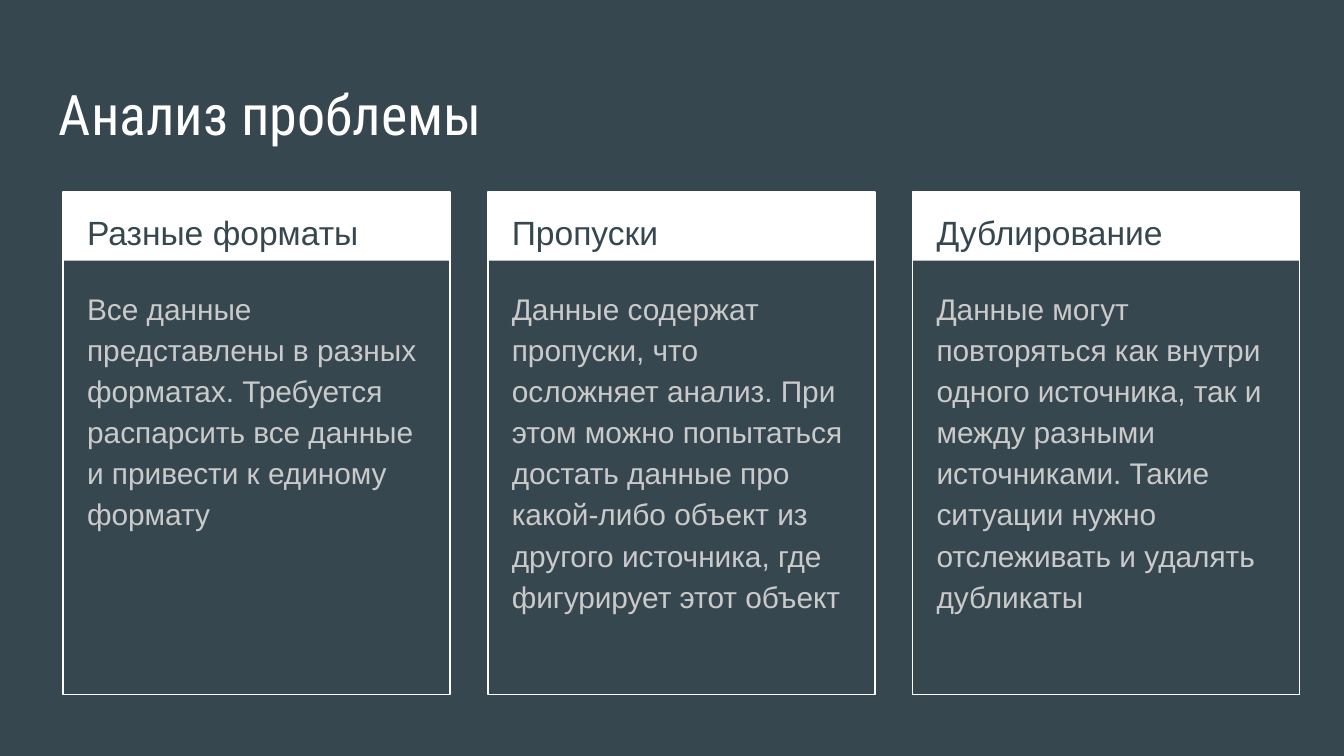
"""Build the problem analysis slide with three outlined cards."""
import dataclasses
import typing

import pptx
import pptx.dml.color
import pptx.enum.shapes
import pptx.enum.text
import pptx.util

Inches = pptx.util.Inches
Pt = pptx.util.Pt
RGB = pptx.dml.color.RGBColor


@dataclasses.dataclass(frozen=True)
class Theme:
    background: RGB = RGB.from_string("37474F")
    light: RGB = RGB.from_string("FFFFFF")
    muted: RGB = RGB.from_string("CACACA")
    title_font: str = "Roboto Condensed"
    text_font: str = "Arial"
    title_size: int = 30
    heading_size: int = 18
    body_size: int = 16
    outline: float = 0.75


class Area(typing.NamedTuple):
    left: float
    top: float
    width: float
    height: float

    def lengths(self) -> list[pptx.util.Length]:
        return [Inches(value) for value in self]


class Card(typing.NamedTuple):
    heading: str
    body: str


THEME = Theme()
PAGE_WIDTH = 10
PAGE_HEIGHT = PAGE_WIDTH * 9 / 16
CARD_LEFT, CARD_TOP, CARD_STEP = 0.47, 1.43, 3.16
CARD_WIDTH, CARD_HEIGHT, BAND_HEIGHT = 2.88, 3.74, 0.51

CARDS = [
    Card(
        "Разные форматы",
        "Все данные представлены в разных форматах. Требуется распарсить "
        "все данные и привести к единому формату",
    ),
    Card(
        "Пропуски",
        "Данные содержат пропуски, что осложняет анализ. При этом можно "
        "попытаться достать данные про какой-либо объект из другого "
        "источника, где фигурирует этот объект",
    ),
    Card(
        "Дублирование",
        "Данные могут повторяться как внутри одного источника, так и между "
        "разными источниками. Такие ситуации нужно отслеживать и удалять "
        "дубликаты",
    ),
]


def apply_format(target: typing.Any, values: dict[str, typing.Any]) -> None:
    for name, value in values.items():
        setattr(target, name, value)


def add_text(
    page: typing.Any,
    area: Area,
    text: str,
    font: dict[str, typing.Any],
    color: RGB,
    spacing: dict[str, typing.Any],
) -> None:
    frame = page.shapes.add_textbox(*area.lengths()).text_frame
    margins = ("margin_left", "margin_top", "margin_right", "margin_bottom")
    apply_format(frame, dict.fromkeys(margins, Inches(0.1)))
    apply_format(
        frame,
        {"word_wrap": True, "vertical_anchor": pptx.enum.text.MSO_ANCHOR.TOP},
    )
    para = frame.paragraphs[0]
    apply_format(para, spacing)
    span = para.add_run()
    span.text = text
    apply_format(span.font, font)
    span.font.color.rgb = color


def add_box(group: typing.Any, area: Area, filled: bool) -> None:
    box = group.shapes.add_shape(
        pptx.enum.shapes.MSO_SHAPE.RECTANGLE, *area.lengths()
    )
    box.shadow.inherit = False
    if filled:
        box.fill.solid()
        box.fill.fore_color.rgb = THEME.light
        box.line.fill.background()
    else:
        box.fill.background()
        box.line.color.rgb = THEME.light
        box.line.width = Pt(THEME.outline)


def add_card(page: typing.Any, card: Card, left: float) -> None:
    group = page.shapes.add_group_shape()
    add_box(group, Area(left, CARD_TOP, CARD_WIDTH, BAND_HEIGHT), True)
    add_box(group, Area(left, CARD_TOP, CARD_WIDTH, CARD_HEIGHT), False)
    add_text(
        page,
        Area(left + 0.08, CARD_TOP, 2.73, 0.5),
        card.heading,
        {"name": THEME.text_font, "size": Pt(THEME.heading_size)},
        THEME.background,
        {"line_spacing": 1.15},
    )
    add_text(
        page,
        Area(left + 0.08, 2.02, 2.71, 3.06),
        card.body,
        {"name": THEME.text_font, "size": Pt(THEME.body_size)},
        THEME.muted,
        {"line_spacing": 1.15, "space_after": Pt(16)},
    )


def main() -> None:
    deck = pptx.Presentation()
    apply_format(
        deck,
        {
            "slide_width": Inches(PAGE_WIDTH),
            "slide_height": Inches(PAGE_HEIGHT),
        },
    )
    page = deck.slides.add_slide(deck.slide_layouts[6])
    page.background.fill.solid()
    page.background.fill.fore_color.rgb = THEME.background
    add_text(
        page,
        Area(0.34, 0.49, 9.32, 0.63),
        "Анализ проблемы",
        {"name": THEME.title_font, "size": Pt(THEME.title_size)},
        THEME.light,
        {},
    )
    for index, card in enumerate(CARDS):
        add_card(page, card, CARD_LEFT + index * CARD_STEP)
    deck.save("out.pptx")


if __name__ == "__main__":
    main()
